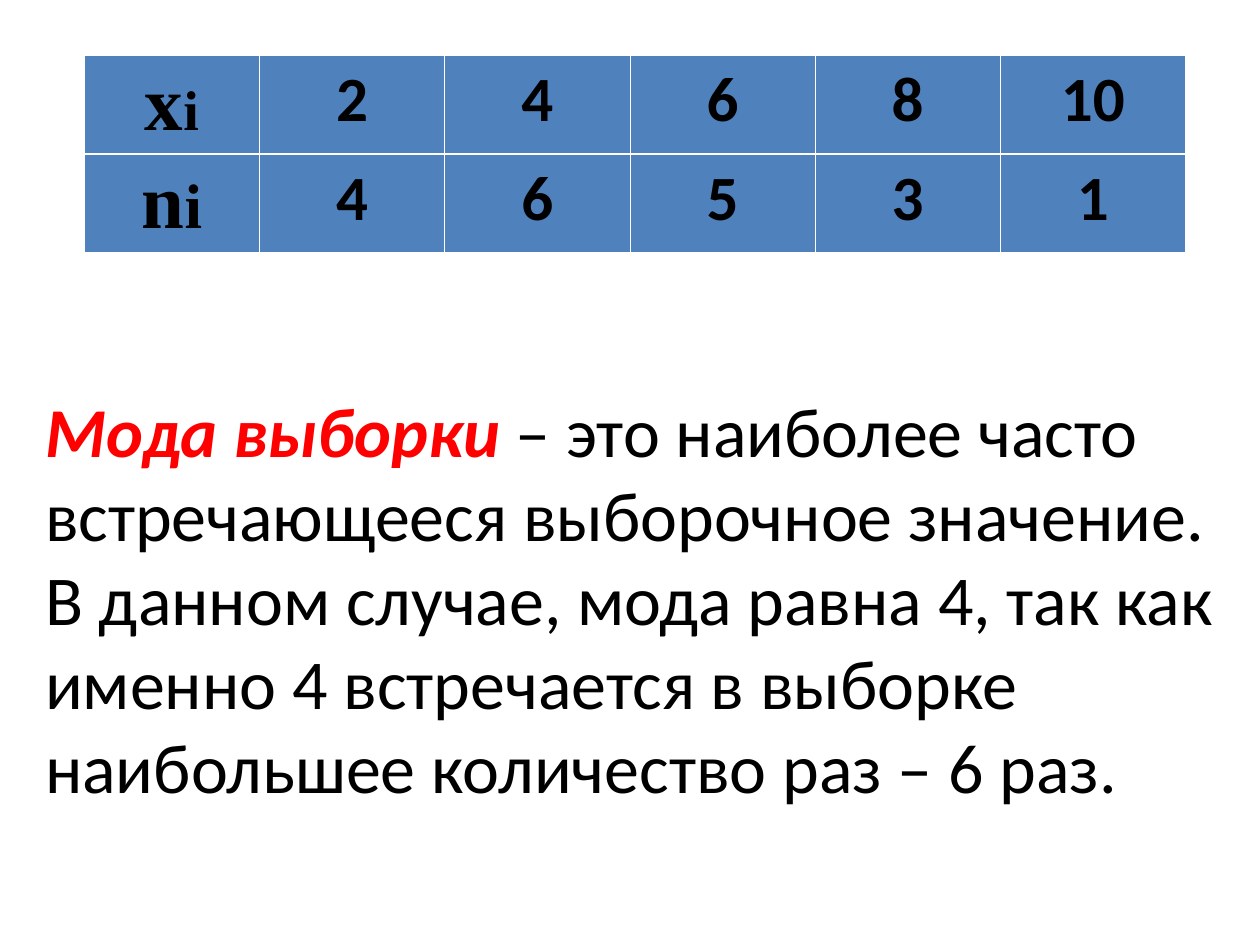
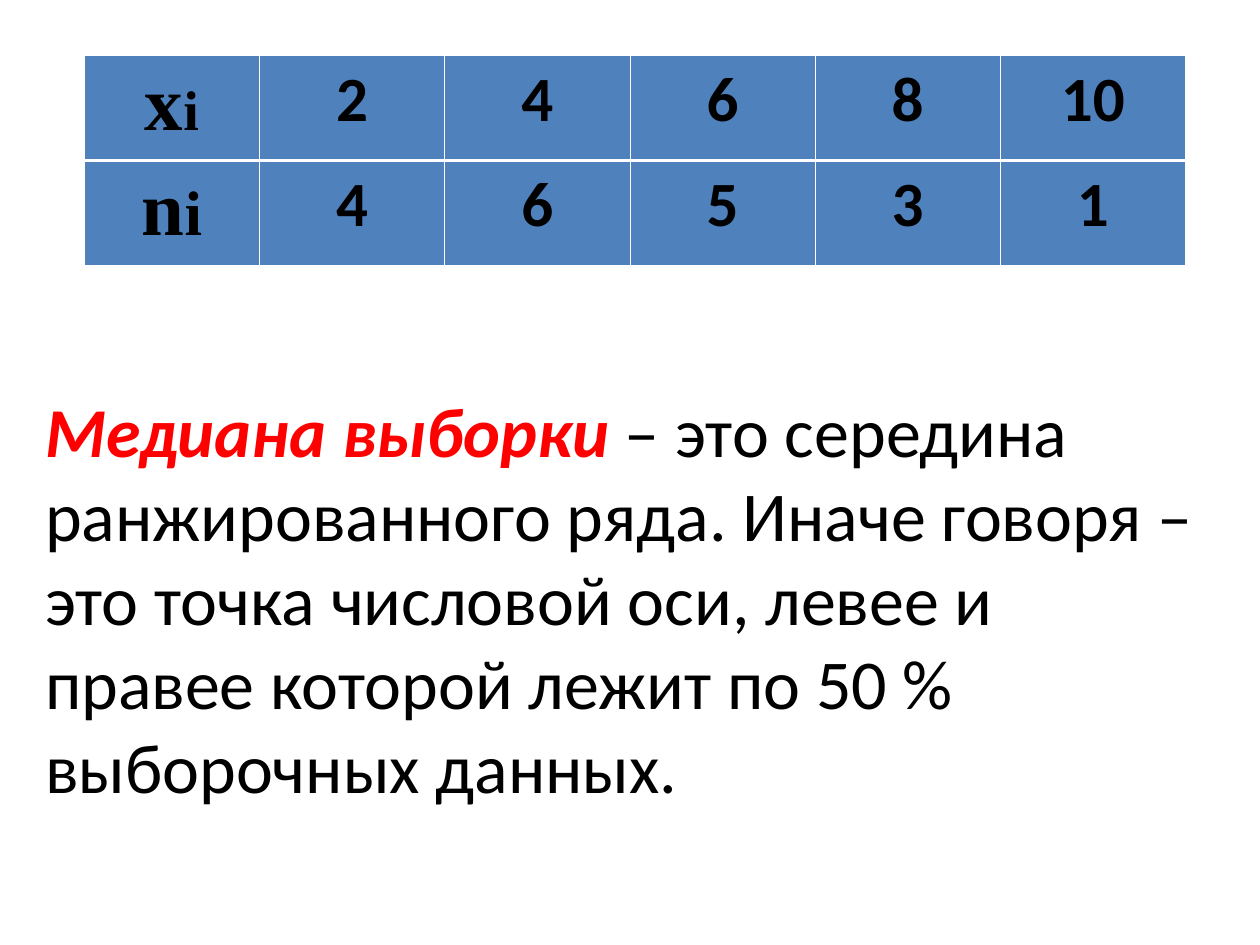
import pptx
import pptx.util
import pptx.dml.color
import pptx.enum.text
import pptx.oxml
import pptx.oxml.ns
from lxml import etree

Inches, Pt = pptx.util.Inches, pptx.util.Pt
RGBColor = pptx.dml.color.RGBColor

# Content: each row is a symbol, the size of its index, and its values
ROWS = [
    ("x", 32, [2, 4, 6, 8, 10]),
    ("n", 36, [4, 6, 5, 3, 1]),
]
SLIDES = [
    {"row_height": 0.78, "term": "Мода выборки ",
     "definition": "– это наиболее часто встречающееся выборочное значение. "
                   "В данном случае, мода равна 4, так как именно 4 встречается "
                   "в выборке наибольшее количество раз – 6 раз."},
    {"row_height": 0.83, "term": "Медиана выборки ",
     "definition": "– это середина ранжированного ряда. Иначе говоря – это точка "
                   "числовой оси, левее и правее которой лежит по 50 % "
                   "выборочных данных."},
]

# Shared style
BLUE = RGBColor(0x4F, 0x81, 0xBD)
RED = RGBColor(0xFF, 0x00, 0x00)
BLACK = RGBColor(0x00, 0x00, 0x00)
WHITE = RGBColor(0xFF, 0xFF, 0xFF)
SYMBOL = {"name": "Times New Roman", "size": Pt(44), "bold": True}
VALUE = {"name": "Calibri", "size": Pt(36), "bold": True}
BODY = {"name": "Calibri", "size": Pt(40), "bold": False, "italic": False}
TERM = {**BODY, "bold": True, "italic": True}
CELL = {"margin_left": Inches(0.06), "margin_right": Inches(0.06),
        "margin_top": Inches(0.05), "margin_bottom": Inches(0.05),
        "vertical_anchor": pptx.enum.text.MSO_ANCHOR.TOP}
FRAME = {"word_wrap": True,
         "vertical_anchor": pptx.enum.text.MSO_ANCHOR.MIDDLE,
         "auto_size": pptx.enum.text.MSO_AUTO_SIZE.SHAPE_TO_FIT_TEXT}
THIN, THICK = Pt(0.45), Pt(1.47)
LEFT, TOP = 0.67, 0.44
HEAD_WIDTH, VALUE_WIDTH = 1.39, 1.47


def apply(target, values):
    for name, value in values.items():
        setattr(target, name, value)


def add_run(p, text, style, color=BLACK):
    r = p.add_run()
    r.text = text
    apply(r.font, style)
    r.font.color.rgb = color


def set_borders(cell, widths):
    """Draw white cell borders; they precede the fill in tcPr."""
    tc_pr = cell._tc.get_or_add_tcPr()
    for i, (side, width) in enumerate(widths.items()):
        ln = etree.Element(pptx.oxml.ns.qn(f"a:ln{side}"), w=str(int(width)))
        fill = etree.SubElement(ln, pptx.oxml.ns.qn("a:solidFill"))
        etree.SubElement(fill, pptx.oxml.ns.qn("a:srgbClr"), val=str(WHITE))
        tc_pr.insert(i, ln)


def add_frequency_table(s, row_height):
    widths = [HEAD_WIDTH] + [VALUE_WIDTH] * len(ROWS[0][2])
    table = s.shapes.add_table(
        len(ROWS), len(widths), Inches(LEFT), Inches(TOP),
        Inches(sum(widths)), Inches(row_height * len(ROWS))).table
    for column, width in zip(table.columns, widths):
        column.width = Inches(width)
    for i, (symbol, index_size, values) in enumerate(ROWS):
        table.rows[i].height = Inches(row_height)
        borders = {"L": THIN, "R": THIN, "T": THICK if i else THIN,
                   "B": THIN if i else THICK}
        texts = [[(symbol, SYMBOL), ("i", {**SYMBOL, "size": Pt(index_size)})]]
        texts += [[(str(value), VALUE)] for value in values]
        for cell, runs in zip(table.rows[i].cells, texts):
            apply(cell, CELL)
            cell.fill.solid()
            cell.fill.fore_color.rgb = BLUE
            set_borders(cell, borders)
            p = cell.text_frame.paragraphs[0]
            p.alignment = pptx.enum.text.PP_ALIGN.CENTER
            for text, style in runs:
                add_run(p, text, style)


def add_definition(s, term, definition):
    sp = s.shapes.add_textbox(Inches(0.26), Inches(3.02), Inches(9.48), Inches(3.44))
    tf = sp.text_frame
    apply(tf, FRAME)
    p = tf.paragraphs[0]
    add_run(p, term, TERM, RED)
    add_run(p, definition, BODY)


def main():
    prs = pptx.Presentation()
    prs.slide_width, prs.slide_height = Inches(10), Inches(7.5)
    for content in SLIDES:
        s = prs.slides.add_slide(prs.slide_layouts[6])
        add_frequency_table(s, content["row_height"])
        add_definition(s, content["term"], content["definition"])
    prs.save("out.pptx")


if __name__ == "__main__":
    main()
